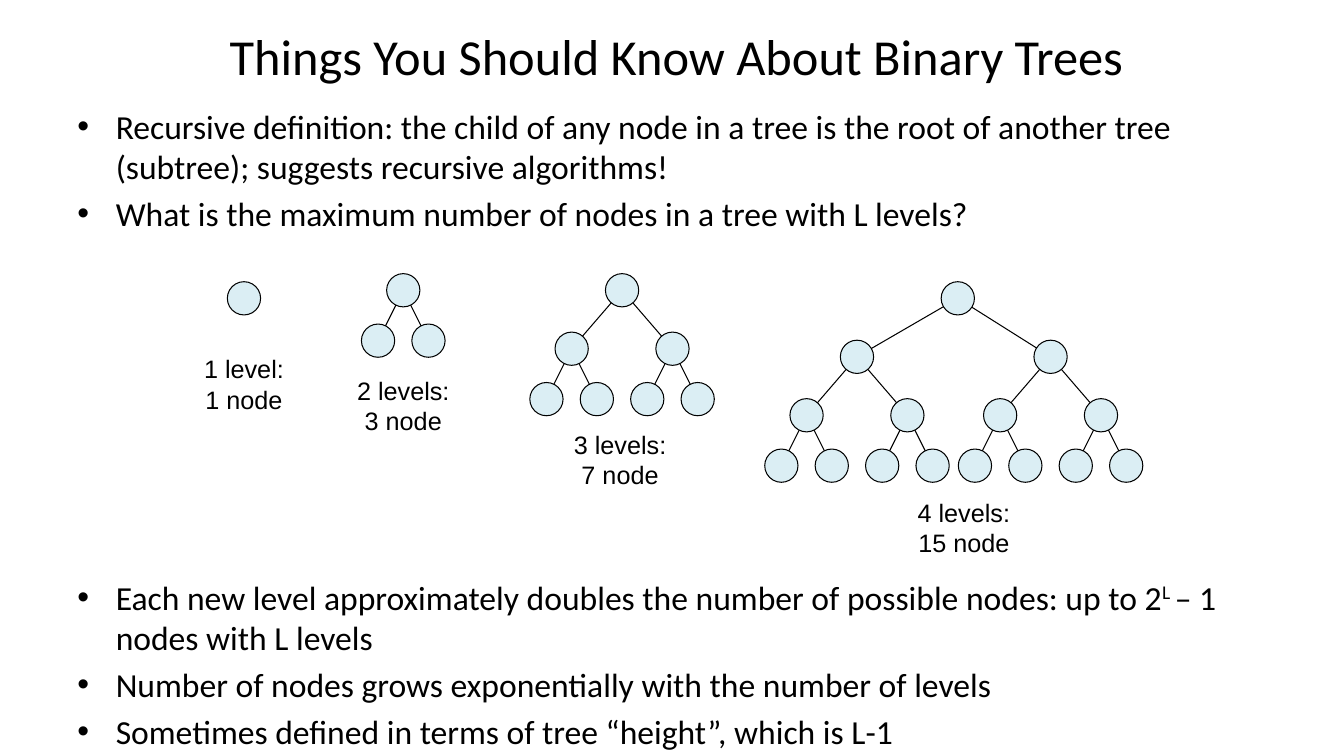
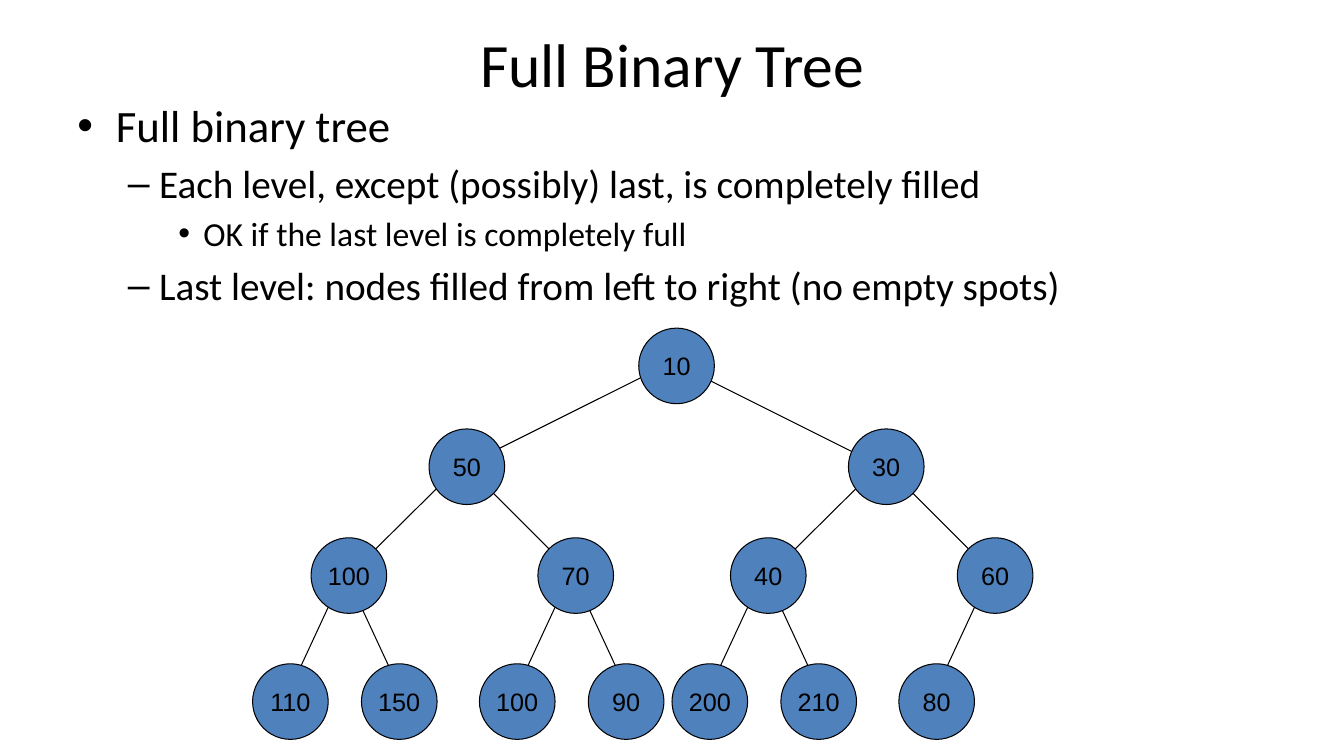
import itertools

import lxml.etree
import pptx
import pptx.dml.color
import pptx.enum.shapes
import pptx.enum.text
import pptx.oxml.ns
import pptx.util

Inches = pptx.util.Inches
Pt = pptx.util.Pt
ALIGN = pptx.enum.text.PP_ALIGN
ANCHOR = pptx.enum.text.MSO_ANCHOR
qn = pptx.oxml.ns.qn

COLORS = {"ink": "000000", "pale": "DBEEF4", "blue": "4F81BD"}
BULLET = {"font": "Calibri", "align": ALIGN.LEFT}
STYLES = {
    "title": {"font": "Calibri", "align": ALIGN.CENTER},
    "label": {"font": "Arial", "align": ALIGN.CENTER},
    "bullet": BULLET | {"mark": "•", "margin": 0.38, "hang": 0.38},
    "dash": BULLET | {"mark": "–", "margin": 0.81, "hang": 0.31},
    "sub": BULLET | {"mark": "•", "margin": 1.25, "hang": 0.25},
}


def write_text(frame, lines, anchor=ANCHOR.TOP, wrap=True):
    """Write (style, size, text) lines; text between carets is superscript."""
    frame.word_wrap = wrap
    frame.vertical_anchor = anchor
    for index, (style_name, size, text) in enumerate(lines):
        style = STYLES[style_name]
        para = frame.add_paragraph() if index else frame.paragraphs[0]
        para.alignment = style["align"]
        if "mark" in style:
            properties = para._p.get_or_add_pPr()
            properties.set("marL", str(Inches(style["margin"])))
            properties.set("indent", str(-Inches(style["hang"])))
            face = lxml.etree.SubElement(properties, qn("a:buFont"))
            face.set("typeface", "Arial")
            mark = lxml.etree.SubElement(properties, qn("a:buChar"))
            mark.set("char", style["mark"])
            para.space_before = Pt(size * 0.2 if index else 0)
        for part_index, part in enumerate(text.split("^")):
            span = para.add_run()
            span.text = part
            for name, value in {"name": style["font"], "size": Pt(size)}.items():
                setattr(span.font, name, value)
            span.font.color.rgb = pptx.dml.color.RGBColor.from_string(COLORS["ink"])
            if part_index % 2:
                span._r.get_or_add_rPr().set("baseline", "30000")


def draw_tree(shapes, root, steps, diameter, fill, labels=(), start_shift=0):
    """Draw a tree whose steps hold the drop, child offsets and line-end shifts."""
    ink = pptx.dml.color.RGBColor.from_string(COLORS["ink"])
    nodes = [root]
    level = [root]
    limit = len(labels) or 2 ** (len(steps) + 1) - 1
    for drop, offsets, end_shifts in steps:
        children = []
        for (x, y), side in itertools.product(level, (0, 1)):
            if len(nodes) + len(children) == limit:
                break
            child = (x + offsets[side], y + drop)
            children.append(child)
            edge = shapes.add_connector(
                pptx.enum.shapes.MSO_CONNECTOR.STRAIGHT,
                Inches(x + start_shift), Inches(y + start_shift),
                Inches(child[0] + end_shifts[side]), Inches(child[1] + start_shift))
            edge.line.color.rgb = ink
            edge.line.width = Pt(0.75)
            lxml.etree.SubElement(edge._element.spPr, qn("a:effectLst"))
        nodes += children
        level = children
    for (x, y), label in itertools.zip_longest(nodes, labels):
        node = shapes.add_shape(
            pptx.enum.shapes.MSO_SHAPE.OVAL, Inches(x - diameter / 2),
            Inches(y - diameter / 2), Inches(diameter), Inches(diameter))
        node.shadow.inherit = False
        node.fill.solid()
        node.fill.fore_color.rgb = pptx.dml.color.RGBColor.from_string(COLORS[fill])
        node.line.color.rgb = ink
        node.line.width = Pt(0.75)
        if label:
            write_text(node.text_frame, [("label", 18, label)], ANCHOR.MIDDLE, False)


deck = pptx.Presentation()
deck.slide_width = Inches(13.33)
deck.slide_height = Inches(7.5)

# Each text box: position and size, vertical anchor, lines
slide_texts = [
    [
        ((1.92, 0.17, 9.58, 0.75), ANCHOR.MIDDLE,
         [("title", 36, "Things You Should Know About Binary Trees")]),
        ((0.67, 1, 12, 1.42), ANCHOR.TOP, [
            ("bullet", 24, "Recursive definition: the child of any node in a tree is the "
                           "root of another tree (subtree); suggests recursive algorithms!"),
            ("bullet", 24, "What is the maximum number of nodes in a tree with L levels?"),
        ]),
        ((0.67, 5.67, 12, 1.5), ANCHOR.TOP, [
            ("bullet", 24, "Each new level approximately doubles the number of possible "
                           "nodes: up to 2^L ^– 1 nodes with L levels"),
            ("bullet", 24, "Number of nodes grows exponentially with the number of levels"),
            ("bullet", 24, "Sometimes defined in terms of tree “height”, which is L-1"),
        ]),
    ],
    [
        ((2.17, 0, 9, 1.25), ANCHOR.MIDDLE, [("title", 44, "Full Binary Tree")]),
        ((0.67, 0.92, 12, 2.33), ANCHOR.TOP, [
            ("bullet", 32, "Full binary tree"),
            ("dash", 28, "Each level, except (possibly) last, is completely filled"),
            ("sub", 24, "OK if the last level is completely full"),
            ("dash", 28, "Last level: nodes filled from left to right (no empty spots)"),
        ]),
    ],
]
pages = []
for texts in slide_texts:
    page = deck.slides.add_slide(deck.slide_layouts[6])
    pages.append(page)
    for place, anchor, lines in texts:
        box = page.shapes.add_textbox(*map(Inches, place))
        write_text(box.text_frame, lines, anchor)
levels_page, full_page = pages

# Small trees with one to four levels
no_shift = (0, 0)
leaf_step = (0.5, (-0.25, 0.25), no_shift)
middle_step = (0.58, (-0.5, 0.5), no_shift)
top_step = (0.58, (-1, 0.92), no_shift)
small_trees = [
    ((2.42, 2.96), [], (2.42, 3.46), ("1 level:", "1 node")),
    ((4, 2.88), [leaf_step], (4, 3.67), ("2 levels:", "3 node")),
    ((6.17, 2.88), [middle_step, leaf_step], (6.15, 4.21), ("3 levels:", "7 node")),
    ((9.5, 2.96), [top_step, middle_step, leaf_step], (9.56, 4.88),
     ("4 levels:", "15 node")),
]
caption_width = 1.13
for root, steps, (center, top), caption in small_trees:
    group = levels_page.shapes.add_group_shape()
    draw_tree(group.shapes, root, steps, 0.33, "pale")
    box = group.shapes.add_textbox(
        Inches(center - caption_width / 2), Inches(top), Inches(caption_width), Inches(0.71))
    write_text(box.text_frame, [("label", 18, line) for line in caption], wrap=False)

# Full tree, labelled level by level
full_steps = [
    (1, (-2.08, 2.08), (0.04, -0.12)),
    (1.08, (-1.17, 1.08), (0.04, -0.04)),
    (1.25, (-0.58, 0.5), (-0.04, 0.04)),
]
full_labels = ["10", "50", "30", "100", "70", "40", "60",
               "110", "150", "100", "90", "200", "210", "80"]
group = full_page.shapes.add_group_shape()
draw_tree(group.shapes, (6.71, 3.63), full_steps, 0.75, "blue", full_labels, -0.04)

deck.save("out.pptx")
